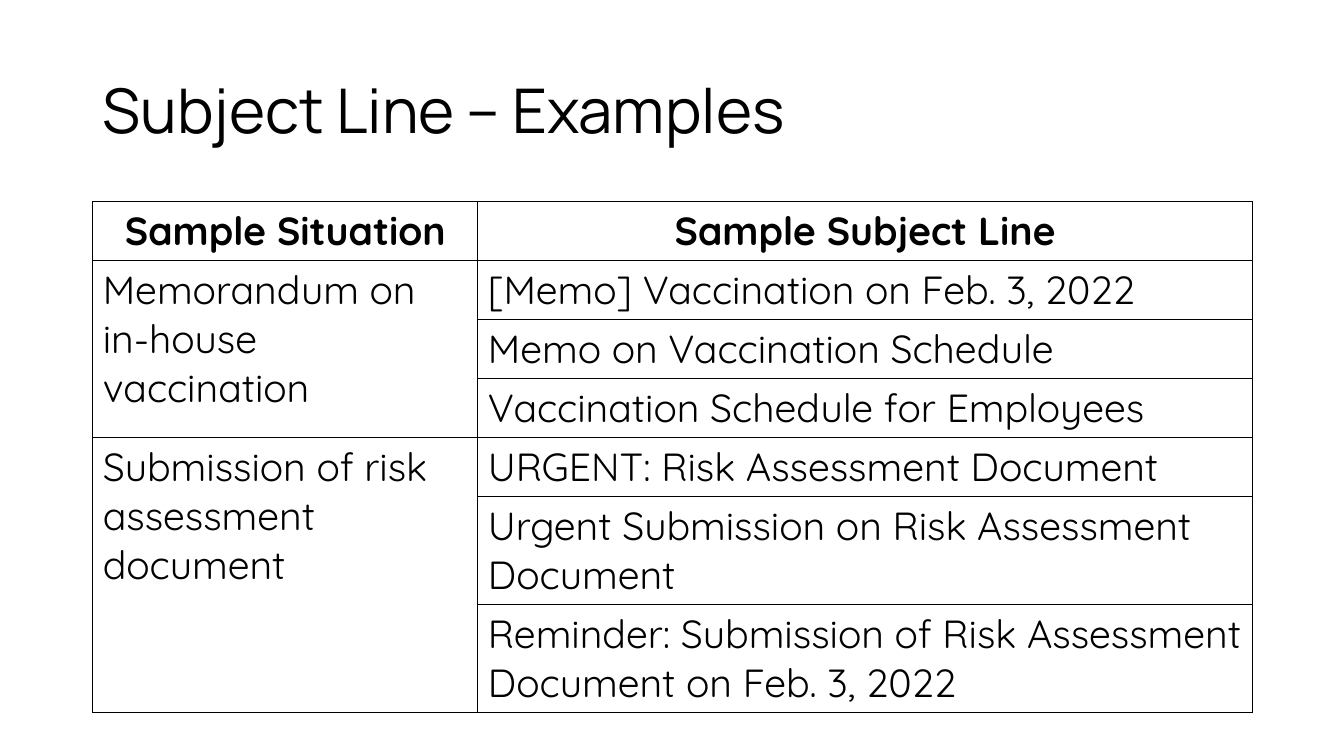
from lxml.etree import SubElement
from pptx import Presentation
from pptx.dml.color import RGBColor
from pptx.enum.text import MSO_ANCHOR as Anchor, MSO_AUTO_SIZE as AutoSize, PP_ALIGN as Align
from pptx.oxml.ns import qn
from pptx.util import Inches, Pt

INK = "000000"
LEFT, WIDTH = Inches(0.92), Inches(11.5)
SITUATION_WIDTH = Inches(3.82)
ROW_HEIGHT = Inches(0.41)

HEADINGS = ["Sample Situation", "Sample Subject Line"]
EXAMPLES = {
    "Memorandum on in-house vaccination": [
        "[Memo] Vaccination on Feb. 3, 2022",
        "Memo on Vaccination Schedule",
        "Vaccination Schedule for Employees",
    ],
    "Submission of risk assessment document": [
        "URGENT: Risk Assessment Document",
        "Urgent Submission on Risk Assessment Document",
        "Reminder: Submission of Risk Assessment Document on Feb. 3, 2022",
    ],
}


def write(para, text, font, size, bold=False, align=Align.LEFT):
    para.alignment = align
    span = para.add_run()
    span.text = text
    span.font.name, span.font.size, span.font.bold = font, Pt(size), bold
    span.font.color.rgb = RGBColor.from_string(INK)


def add_borders(cell):
    properties = cell._tc.get_or_add_tcPr()
    for side in ("lnL", "lnR", "lnT", "lnB"):
        line = SubElement(properties, qn(f"a:{side}"), w=str(Pt(1)))
        fill = SubElement(line, qn("a:solidFill"))
        SubElement(fill, qn("a:srgbClr"), val=INK)


deck = Presentation()
deck.slide_width, deck.slide_height = Inches(13.33), Inches(7.5)
page = deck.slides.add_slide(deck.slide_layouts[5])

# Title
title = page.shapes.title
title.left, title.top, title.width, title.height = LEFT, Inches(0.4), WIDTH, Inches(1.45)
frame = title.text_frame
frame.auto_size, frame.vertical_anchor = AutoSize.NONE, Anchor.MIDDLE
frame.paragraphs[0].line_spacing = 0.9
write(frame.paragraphs[0], "Subject Line – Examples", "Manrope", 44)

# Empty table: one heading row, then one row per subject line
row_count = 1 + sum(len(lines) for lines in EXAMPLES.values())
table = page.shapes.add_table(row_count, 2, LEFT, Inches(2), WIDTH, ROW_HEIGHT * row_count).table
table.first_row = table.horz_banding = False
table.columns[0].width = SITUATION_WIDTH
table.columns[1].width = WIDTH - SITUATION_WIDTH
for cell in table.iter_cells():
    add_borders(cell)
    cell.fill.background()

# Headings
for column, heading in enumerate(HEADINGS):
    write(table.cell(0, column).text_frame.paragraphs[0], heading, "Quicksand", 28, True, Align.CENTER)

# Each situation spans the rows of its subject lines
top_row = 1
for situation, subject_lines in EXAMPLES.items():
    first = table.cell(top_row, 0)
    first.merge(table.cell(top_row + len(subject_lines) - 1, 0))
    write(first.text_frame.paragraphs[0], situation, "Quicksand", 28)
    for row, subject in enumerate(subject_lines, top_row):
        write(table.cell(row, 1).text_frame.paragraphs[0], subject, "Quicksand", 28)
    top_row += len(subject_lines)

deck.save("out.pptx")
